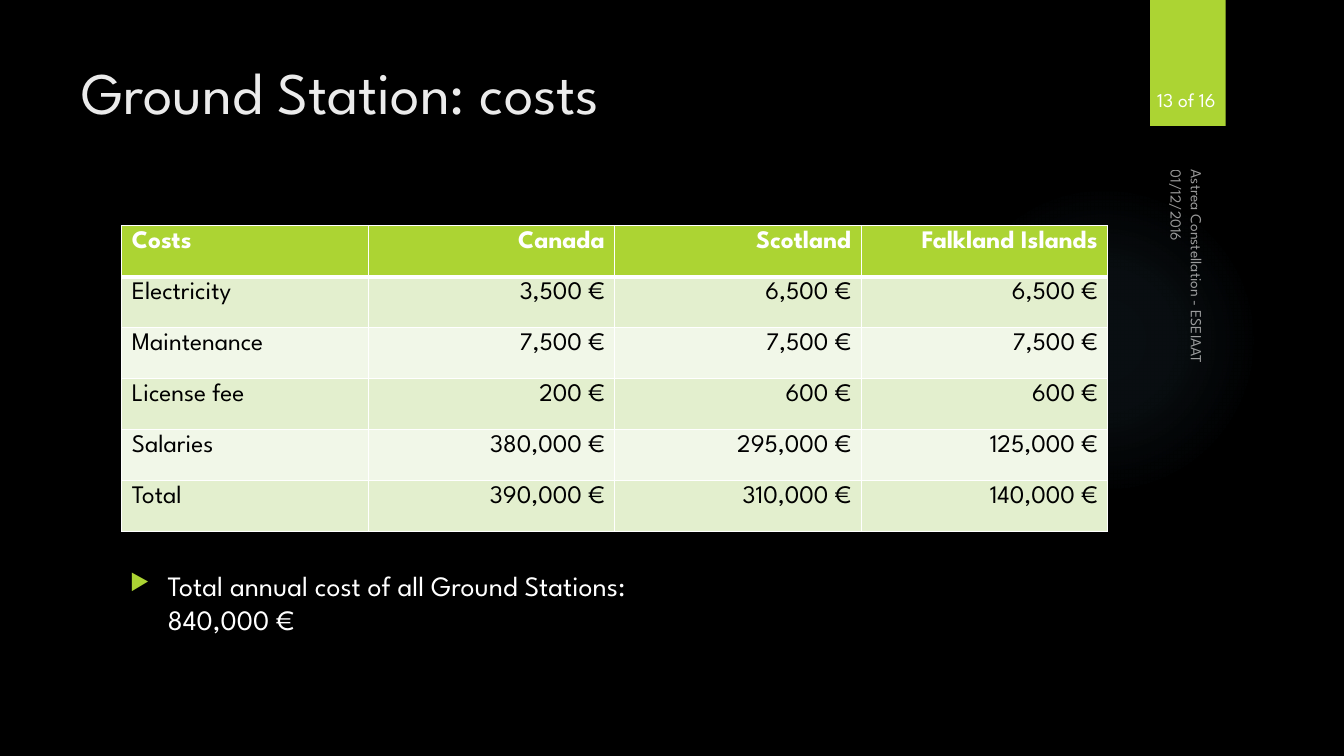
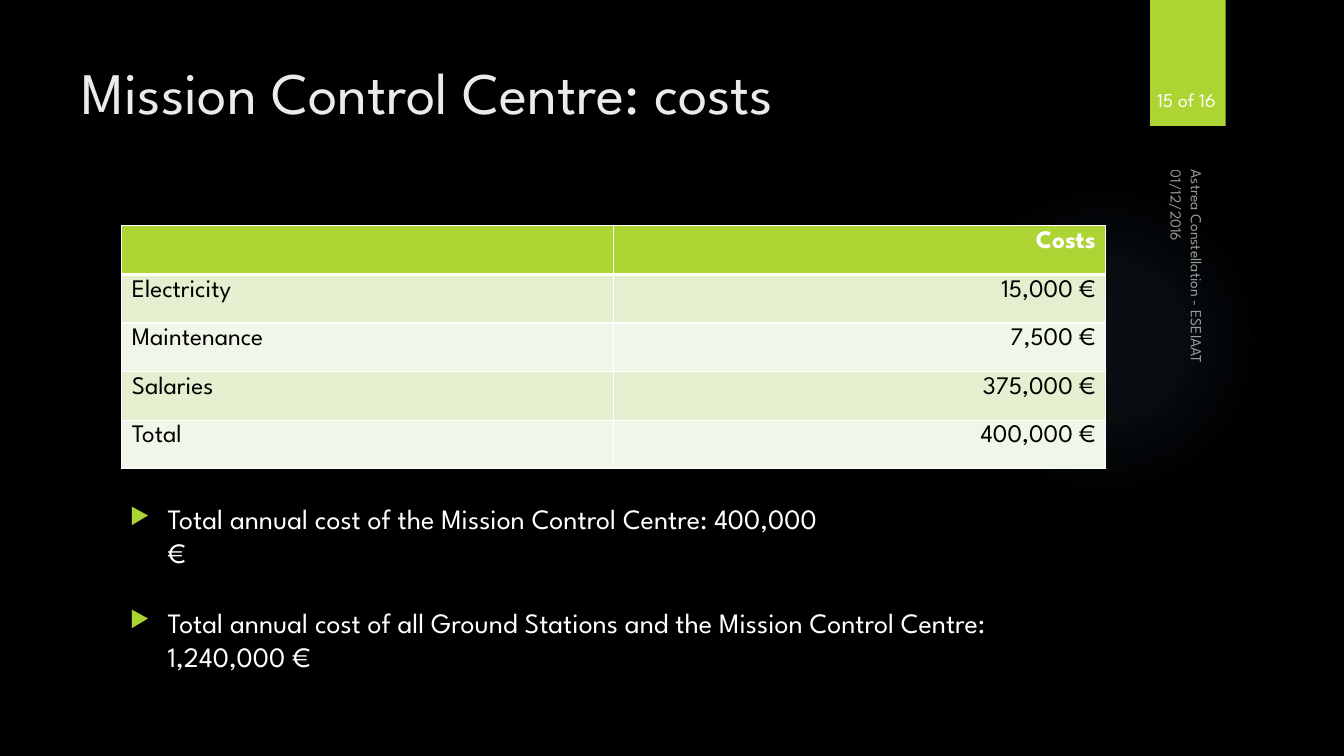
"""Build two slides with the annual cost tables of the Astrea constellation."""
from dataclasses import dataclass

from lxml import etree
from pptx import Presentation
from pptx.dml.color import RGBColor
from pptx.enum.shapes import MSO_SHAPE
from pptx.enum.text import MSO_ANCHOR, MSO_AUTO_SIZE, PP_ALIGN
from pptx.oxml import parse_xml
from pptx.oxml.ns import nsdecls, qn
from pptx.util import Pt

LEFT, CENTER, RIGHT = PP_ALIGN.LEFT, PP_ALIGN.CENTER, PP_ALIGN.RIGHT
TOP, BOTTOM = MSO_ANCHOR.TOP, MSO_ANCHOR.BOTTOM
NO_FIT = MSO_AUTO_SIZE.NONE
OVAL, RECTANGLE = MSO_SHAPE.OVAL, MSO_SHAPE.RECTANGLE
TITLE_ONLY = 5


@dataclass(frozen=True)
class Theme:
    """Colours, font and type sizes shared by the slides."""
    font: str = "League Spartan"
    background: str = "000000"
    accent: str = "ACD433"
    glow: str = "7AC4F0"
    title: str = "EBEBEB"
    light: str = "FFFFFF"
    dark: str = "000000"
    bands: tuple[str, str] = ("E3EFCE", "F1F7E8")
    title_size: float = 42
    body_size: float = 20
    table_size: float = 18
    number_size: float = 14
    footer_size: float = 11
    footer_opacity: int = 60


@dataclass(frozen=True)
class Box:
    """A frame in points."""
    left: float
    top: float
    width: float
    height: float

    def emu(self) -> tuple:
        """Return the frame as lengths."""
        return Pt(self.left), Pt(self.top), Pt(self.width), Pt(self.height)


@dataclass(frozen=True)
class Bullet:
    """A bulleted line and its frame."""
    text: str
    box: Box


@dataclass(frozen=True)
class CostSlide:
    """The content of one cost slide."""
    title: str
    number: str
    rows: list[list[str]]
    table_width: float
    row_height: float
    bullets: list[Bullet]


THEME = Theme()
SLIDE_WIDTH, SLIDE_HEIGHT = 960, 540
TABLE_LEFT, TABLE_TOP = 87, 161.3
GLOW_BOX = Box(677.5, 131.8, 221.8, 221.8)
TAG_BOX = Box(821.5, 0, 54, 90)
TITLE_BOX = Box(51.1, 36, 740.9, 110.2)
NUMBER_BOX = Box(807.5, 23, 80, 60.5)
DATE_BOX = Box(799.9, 141.1, 77.8, 23.8)
FOOTER_BOX = Box(704.9, 254.2, 303.8, 23.8)
GLOW_STOPS = ((0, 7), (36, 6), (69, 0))

SLIDES = [
    CostSlide(
        "Ground Station: costs", "13 of 16",
        [["Costs", "Canada", "Scotland", "Falkland Islands"],
         ["Electricity", "3,500 €", "6,500 €", "6,500 €"],
         ["Maintenance", "7,500 €", "7,500 €", "7,500 €"],
         ["License fee", "200 €", "600 €", "600 €"],
         ["Salaries", "380,000 €", "295,000 €", "125,000 €"],
         ["Total", "390,000 €", "310,000 €", "140,000 €"]],
        704.4, 36.4,
        [Bullet("Total annual cost of all Ground Stations: 840,000 €",
                Box(85.7, 402.5, 443.5, 77))]),
    CostSlide(
        "Mission Control Centre: costs", "15 of 16",
        [["", "Costs"],
         ["Electricity", "15,000 €"],
         ["Maintenance", "7,500 €"],
         ["Salaries", "375,000 €"],
         ["Total", "400,000 €"]],
        702.8, 34.7,
        [Bullet("Total annual cost of the Mission Control Centre: 400,000 €",
                Box(85.7, 355, 509, 61.2)),
         Bullet("Total annual cost of all Ground Stations and the Mission "
                "Control Centre: 1,240,000 €",
                Box(85.7, 429.1, 704.2, 61.2))]),
]


def write(tf, text: str, size: float, color: str, align=LEFT, bold: bool = False):
    """Put one formatted paragraph in a text frame and return it."""
    p = tf.paragraphs[0]
    if text:
        p.add_run().text = text
    p.alignment = align
    p.font.name, p.font.size, p.font.bold = THEME.font, Pt(size), bold
    p.font.color.rgb = RGBColor.from_string(color)
    return p


def add_text(s, box: Box, text: str, size: float, align=LEFT, anchor=TOP):
    """Add a wrapping text box in the light colour and return its shape and paragraph."""
    sp = s.shapes.add_textbox(*box.emu())
    tf = sp.text_frame
    tf.word_wrap, tf.auto_size, tf.vertical_anchor = True, NO_FIT, anchor
    return sp, write(tf, text, size, THEME.light, align)


def add_shape(s, kind, box: Box, color: str):
    """Add a flat shape without outline."""
    sp = s.shapes.add_shape(kind, *box.emu())
    sp.shadow.inherit = False
    sp.fill.solid()
    sp.fill.fore_color.rgb = RGBColor.from_string(color)
    sp.line.fill.background()
    return sp


def add_glow(s) -> None:
    """Add the faint round glow."""
    sp = add_shape(s, OVAL, GLOW_BOX, THEME.glow)
    stops = "".join(
        f'<a:gs pos="{pos * 1000}"><a:srgbClr val="{THEME.glow}">'
        f'<a:alpha val="{alpha * 1000}"/></a:srgbClr></a:gs>'
        for pos, alpha in GLOW_STOPS)
    gradient = parse_xml(
        f'<a:gradFill {nsdecls("a")} rotWithShape="1"><a:gsLst>{stops}</a:gsLst>'
        '<a:path path="circle"><a:fillToRect l="50000" t="50000" r="50000" b="50000"/>'
        '</a:path></a:gradFill>')
    solid = sp._element.spPr.find(qn("a:solidFill"))
    solid.getparent().replace(solid, gradient)


def add_footer(s, box: Box, text: str, anchor) -> None:
    """Add a translucent line of text turned a quarter clockwise."""
    sp, p = add_text(s, box, text, THEME.footer_size, anchor=anchor)
    sp.rotation = 90
    color = p._p.find(".//" + qn("a:srgbClr"))
    etree.SubElement(color, qn("a:alpha"), val=str(THEME.footer_opacity * 1000))


def add_bullet(s, bullet: Bullet) -> None:
    """Add a line of text with an accent triangle."""
    _, p = add_text(s, bullet.box, bullet.text, THEME.body_size)
    p.space_before = Pt(10)
    pPr = p._p.get_or_add_pPr()
    pPr.set("marL", str(Pt(27)))
    pPr.set("indent", str(-Pt(27)))
    font = pPr.find(qn("a:defRPr"))
    for xml in (f'<a:buClr {nsdecls("a")}><a:srgbClr val="{THEME.accent}"/></a:buClr>',
                f'<a:buSzPct {nsdecls("a")} val="80000"/>',
                f'<a:buChar {nsdecls("a")} char="▶"/>'):
        font.addprevious(parse_xml(xml))


def set_borders(cell, top: float, bottom: float) -> None:
    """Give a cell light borders, with its own top and bottom widths."""
    tcPr = cell._tc.get_or_add_tcPr()
    for i, (side, width) in enumerate((("L", 1), ("R", 1), ("T", top), ("B", bottom))):
        tcPr.insert(i, parse_xml(
            f'<a:ln{side} {nsdecls("a")} w="{Pt(width)}"><a:solidFill>'
            f'<a:srgbClr val="{THEME.light}"/></a:solidFill></a:ln{side}>'))


def add_cost_table(s, content: CostSlide) -> None:
    """Add the table with a header row and two alternating bands."""
    rows, cols = len(content.rows), len(content.rows[0])
    box = Box(TABLE_LEFT, TABLE_TOP, content.table_width, content.row_height * rows)
    table = s.shapes.add_table(rows, cols, *box.emu()).table
    table.horz_banding = False
    for column in table.columns:
        column.width = Pt(content.table_width / cols)
    for i, values in enumerate(content.rows):
        table.rows[i].height = Pt(content.row_height)
        header = i == 0
        fill = THEME.accent if header else THEME.bands[(i - 1) % 2]
        color = THEME.light if header else THEME.dark
        for j, value in enumerate(values):
            cell = table.cell(i, j)
            cell.fill.solid()
            cell.fill.fore_color.rgb = RGBColor.from_string(fill)
            set_borders(cell, top=3 if i == 1 else 1, bottom=3 if header else 1)
            write(cell.text_frame, value, THEME.table_size, color,
                  RIGHT if j else LEFT, header)


def set_title(s, text: str) -> None:
    """Place and format the title placeholder."""
    sp = s.shapes.title
    sp.left, sp.top, sp.width, sp.height = TITLE_BOX.emu()
    tf = sp.text_frame
    tf.word_wrap, tf.auto_size, tf.vertical_anchor = True, NO_FIT, TOP
    write(tf, text, THEME.title_size, THEME.title)


def add_cost_slide(prs, content: CostSlide) -> None:
    """Add one complete cost slide."""
    s = prs.slides.add_slide(prs.slide_layouts[TITLE_ONLY])
    add_glow(s)
    add_shape(s, RECTANGLE, TAG_BOX, THEME.accent)
    set_title(s, content.title)
    add_cost_table(s, content)
    add_footer(s, DATE_BOX, "01/12/2016", TOP)
    add_footer(s, FOOTER_BOX, "Astrea Constellation - ESEIAAT", BOTTOM)
    add_text(s, NUMBER_BOX, content.number, THEME.number_size, CENTER, BOTTOM)
    for bullet in content.bullets:
        add_bullet(s, bullet)


def main() -> None:
    """Build and save the presentation."""
    prs = Presentation()
    prs.slide_width, prs.slide_height = Pt(SLIDE_WIDTH), Pt(SLIDE_HEIGHT)
    fill = prs.slide_master.background.fill
    fill.solid()
    fill.fore_color.rgb = RGBColor.from_string(THEME.background)
    for content in SLIDES:
        add_cost_slide(prs, content)
    prs.save("out.pptx")


if __name__ == "__main__":
    main()
